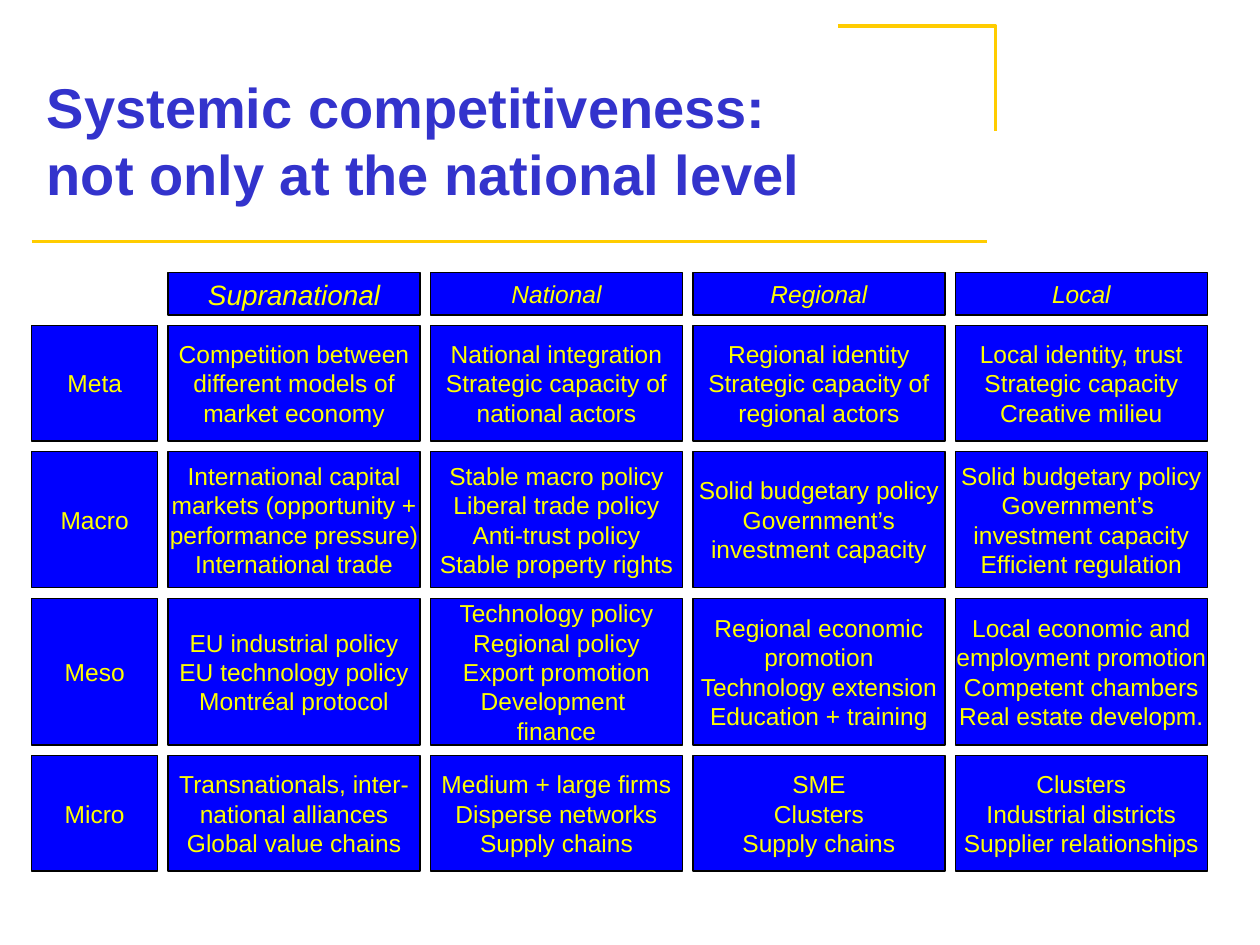
from lxml import etree
from pptx import Presentation, util as u
from pptx.dml.color import RGBColor
from pptx.enum import shapes, text
from pptx.oxml.ns import qn

C = {"title": "3333CC", "rule": "FFCC00", "box": "0000FF", "edge": "000000", "label": "FFFF00"}


def style_font(f, size, color):
    f.name, f.size = "Arial", u.Pt(size)
    f.color.rgb = RGBColor.from_string(C[color])


def style_line(ln, color, width):
    ln.color.rgb = RGBColor.from_string(C[color])
    ln.width = u.Pt(width)


prs = Presentation()
prs.slide_width, prs.slide_height = u.Cm(25.4), u.Cm(19.05)
s = prs.slides.add_slide(prs.slide_layouts[5])

rule = s.shapes.add_connector(shapes.MSO_CONNECTOR.STRAIGHT, u.Cm(0.64), u.Cm(4.87), u.Cm(19.9), u.Cm(4.87))
style_line(rule.line, "rule", 2)
etree.SubElement(rule._element.spPr, qn("a:effectLst"))

fb = s.shapes.build_freeform(u.Cm(16.89), u.Cm(0.53))
fb.add_line_segments([(u.Cm(20.07), u.Cm(0.53)), (u.Cm(20.07), u.Cm(2.64))], close=False)
corner = fb.convert_to_shape()
corner.fill.background()
corner.shadow.inherit = False
style_line(corner.line, "rule", 2)

title = s.shapes.title
title.left, title.top, title.width, title.height = u.Cm(0.69), u.Cm(0.91), u.Cm(19), u.Cm(3.81)
tf = title.text_frame
tf.text = "Systemic competitiveness:\vnot only at the national level"
tf.auto_size = text.MSO_AUTO_SIZE.NONE
tf.vertical_anchor = text.MSO_ANCHOR.MIDDLE
p = tf.paragraphs[0]
p.alignment = text.PP_ALIGN.LEFT
style_font(p.font, 32, "title")
p.font.bold = True

rows = [
    ("", "Supranational", "National", "Regional", "Local"),
    ("Meta",
     "Competition between\ndifferent models of\nmarket economy",
     "National integration\nStrategic capacity of\nnational actors",
     "Regional identity\nStrategic capacity of\nregional actors",
     "Local identity, trust\nStrategic capacity\nCreative milieu"),
    ("Macro",
     "International capital\nmarkets (opportunity +\nperformance pressure)\nInternational trade",
     "Stable macro policy\nLiberal trade policy\nAnti-trust policy\nStable property rights",
     "Solid budgetary policy\nGovernment’s\ninvestment capacity",
     "Solid budgetary policy\nGovernment’s \ninvestment capacity\nEfficient regulation"),
    ("Meso",
     "EU industrial policy\nEU technology policy\nMontréal protocol",
     "Technology policy\nRegional policy\nExport promotion\nDevelopment \vfinance",
     "Regional economic\npromotion\nTechnology extension\nEducation + training",
     "Local economic and\nemployment promotion\nCompetent chambers\nReal estate developm."),
    ("Micro",
     "Transnationals, inter-\nnational alliances\nGlobal value chains",
     "Medium + large firms\nDisperse networks\nSupply chains",
     "SME\nClusters\nSupply chains",
     "Clusters\nIndustrial districts\nSupplier relationships"),
]
widths = [2.54] + [5.08] * 4
heights = [0.85, 2.33, 2.75, 2.96, 2.33]
gap = 0.21

y = 5.5
for row, h in zip(rows, heights):
    x = 0.64
    for label, w in zip(row, widths):
        if label:
            sp = s.shapes.add_shape(shapes.MSO_SHAPE.RECTANGLE, u.Cm(x), u.Cm(y), u.Cm(w), u.Cm(h))
            sp.shadow.inherit = False
            sp.fill.solid()
            sp.fill.fore_color.rgb = RGBColor.from_string(C["box"])
            style_line(sp.line, "edge", 0.75)
            tf = sp.text_frame
            tf.text = label
            tf.word_wrap = False
            tf.vertical_anchor = text.MSO_ANCHOR.MIDDLE
            for p in tf.paragraphs:
                p.alignment = text.PP_ALIGN.CENTER
                style_font(p.font, 16 if label == "Supranational" else 14, "label")
                p.font.italic = row is rows[0]
        x += w + gap
    y += h + gap

prs.save("out.pptx")
